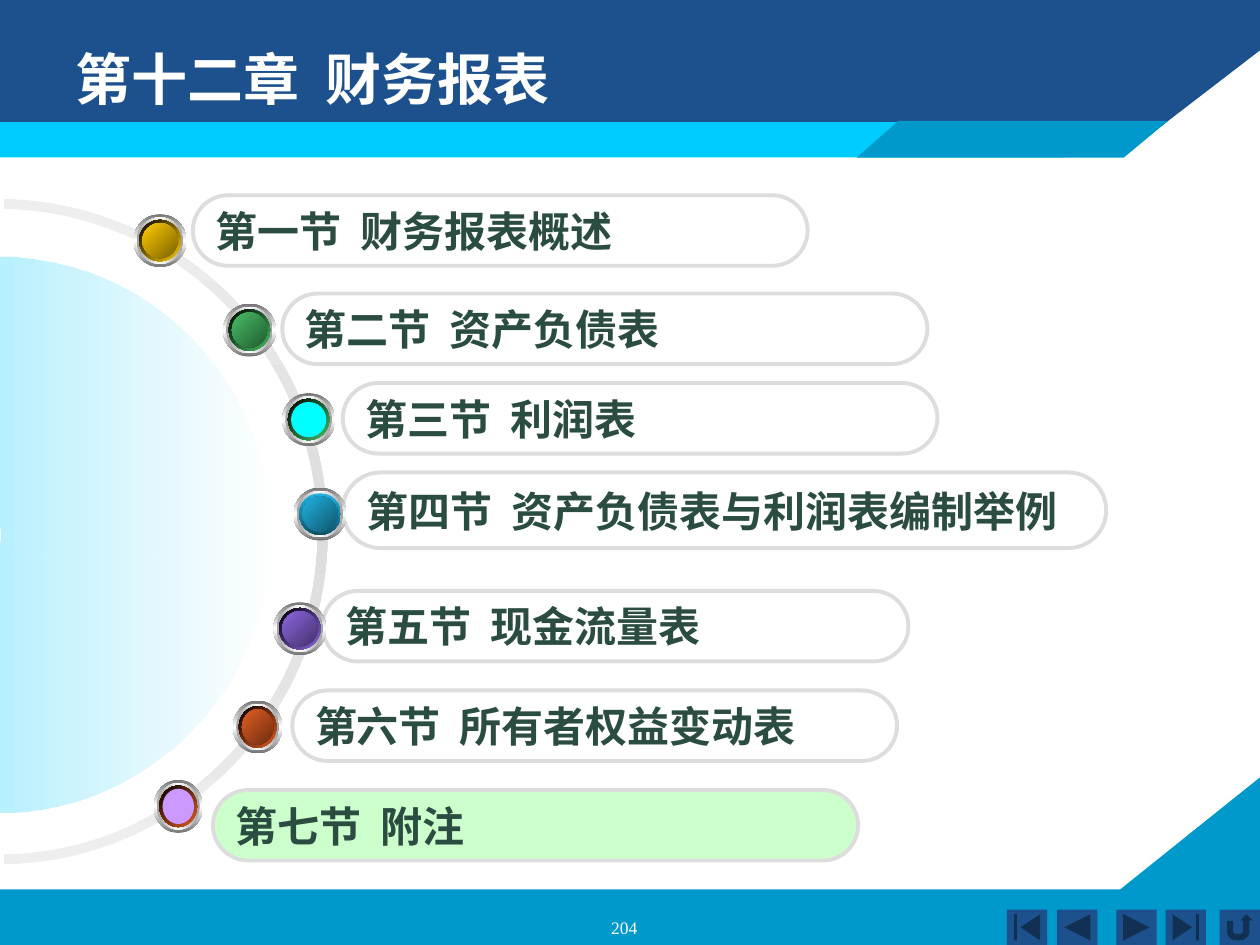
from lxml import etree
from pptx import Presentation
from pptx.dml.color import RGBColor
from pptx.enum.shapes import MSO_SHAPE as Preset
from pptx.enum.text import MSO_ANCHOR as Anchor, PP_ALIGN as Align
from pptx.oxml import parse_xml
from pptx.oxml.ns import nsdecls, qn
from pptx.util import Inches, Pt

COLORS = {
    "navy": "1D518D", "blue": "0099CB", "sky": "00CCFF", "white": "FFFFFF",
    "pearl": "FEFEFE", "ring": "DDDDDD", "ring_end": "EEEEEE", "ink": "2A4C41",
    "mint": "CCFFCC", "steel": "757575", "silver": "A1A1A1", "black": "000000",
    "gold": "FFCC00", "gold_dark": "7B6200", "green": "48BE67", "green_dark": "225C31",
    "cyan": "00FFFF", "teal": "21B3E1", "teal_dark": "0F566C", "teal_rim": "0F5267",
    "violet": "8D67E1", "violet_dark": "44316C", "rust": "E35E23",
    "rust_dark": "6D2D10", "lilac": "CC99FF",
}

# label, pill box (left, top, width, height), pill fill
SECTIONS = [
    ("第一节", "财务报表概述", (1.53, 1.55, 4.88, 0.56), None),
    ("第二节", "资产负债表", (2.24, 2.33, 5.12, 0.56), None),
    ("第三节", "利润表", (2.72, 3.04, 4.72, 0.56), None),
    ("第四节", "资产负债表与利润表编制举例", (2.72, 3.75, 6.06, 0.6), None),
    ("第五节", "现金流量表", (2.56, 4.69, 4.65, 0.56), None),
    ("第六节", "所有者权益变动表", (2.32, 5.48, 4.8, 0.56), None),
    ("第七节", "附注", (1.69, 6.27, 5.12, 0.56), "mint"),
]

# bead box, rim gradient (stops, angle), core colours from dark to light
BEADS = [
    ((1.06, 1.7, 0.42, 0.42), (["gold", "black"], 225), ["gold_dark", "gold"]),
    ((1.77, 2.41, 0.42, 0.42), (["green", "black"], 225), ["green_dark", "green"]),
    ((2.24, 3.12, 0.42, 0.42), (["green", "black"], 225), ["cyan"]),
    ((2.33, 3.87, 0.42, 0.42), (["teal", "teal_rim"], 90), ["teal_dark", "teal"]),
    ((2.17, 4.78, 0.42, 0.42), (["violet", "black"], 225), ["violet_dark", "violet"]),
    ((1.85, 5.56, 0.39, 0.42), (["rust", "black"], 225), ["rust_dark", "rust"]),
    ((1.22, 6.19, 0.39, 0.42), (["rust", "black"], 225), ["lilac"]),
]


def color(name):
    return RGBColor.from_string(COLORS[name])


def paint(shape, fill=None):
    """Flat fill (or none), no outline, no shadow."""
    shape.shadow.inherit = False
    shape.line.fill.background()
    if fill:
        shape.fill.solid()
        shape.fill.fore_color.rgb = color(fill)
    else:
        shape.fill.background()
    return shape


def paint_gradient(shape, names, angle, alphas=None):
    """Linear gradient with evenly spaced stops."""
    paint(shape)
    gradient = parse_xml(f'<a:gradFill {nsdecls("a")} rotWithShape="1"><a:gsLst/>'
                         f'<a:lin ang="{angle * 60000}" scaled="0"/></a:gradFill>')
    for index, name in enumerate(names):
        stop = etree.SubElement(gradient[0], qn("a:gs"),
                                pos=str(index * 100000 // (len(names) - 1)))
        tint = etree.SubElement(stop, qn("a:srgbClr"), val=COLORS[name])
        if alphas:
            etree.SubElement(tint, qn("a:alpha"), val=str(alphas[index] * 1000))
    properties = shape._element.spPr
    properties.replace(properties.find(qn("a:noFill")), gradient)


def add_preset(shapes, preset, box):
    return shapes.add_shape(preset, *map(Inches, box))


def add_polygon(shapes, points, fill):
    corners = [(Inches(x), Inches(y)) for x, y in points]
    builder = shapes.build_freeform(*corners[0], scale=1.0)
    builder.add_line_segments(corners[1:], close=True)
    paint(builder.convert_to_shape(), fill)


def add_span(para, text, size, font, ink, bold=False):
    span = para.add_run()
    span.text = text
    span.font.size, span.font.name, span.font.bold = Pt(size), font, bold
    span.font.color.rgb = color(ink)


def add_heading(para, number, name, stop, **style):
    """Number and name, parted by a tab stop."""
    tabs = etree.SubElement(para._p.get_or_add_pPr(), qn("a:tabLst"))
    etree.SubElement(tabs, qn("a:tab"), pos=str(Inches(stop)), algn="l")
    para.alignment = Align.LEFT
    add_span(para, f"{number}\t{name}", bold=True, **style)


def add_frame(shapes, width, height):
    """Header and footer bands with slanted ends."""
    add_polygon(shapes, [(0, 7.06), (8.89, 7.06), (width, 6.17), (width, height),
                         (0, height)], "blue")
    add_polygon(shapes, [(0, 0), (width, 0), (width, 0.4), (8.92, 1.23), (0, 1.24)], "navy")
    paint(add_preset(shapes, Preset.RECTANGLE, (0, 0.97, 8.44, 0.28)), "sky")
    add_polygon(shapes, [(6.8, 1.25), (8.92, 1.25), (9.27, 0.96), (7.13, 0.96)], "blue")


def add_navigation(shapes, top, height):
    buttons = [(Preset.ACTION_BUTTON_BEGINNING, 7.99),
               (Preset.ACTION_BUTTON_BACK_OR_PREVIOUS, 8.39),
               (Preset.ACTION_BUTTON_FORWARD_OR_NEXT, 8.86),
               (Preset.ACTION_BUTTON_END, 9.25),
               (Preset.ACTION_BUTTON_RETURN, 9.68)]
    for preset, left in buttons:
        paint(add_preset(shapes, preset, (left, top, 0.32, height)), "navy")


def add_dial(shapes):
    """Grey half ring around a fading half disc."""
    ring = add_preset(shapes, Preset.BLOCK_ARC, (-2.65, 1.61, 5.28, 5.22))
    disc = add_preset(shapes, Preset.BLOCK_ARC, (-2.21, 2.09, 4.41, 4.3))
    for arc, adjustments in ((ring, (108.52, 215.48, 0.015)), (disc, (108, 0, 0.497))):
        arc.rotation = 90
        for index, value in enumerate(adjustments):
            arc.adjustments[index] = value
    paint_gradient(ring, ["ring_end", "ring", "ring_end"], 0)
    paint_gradient(disc, ["sky", "pearl"], 270, alphas=[56, 48])


def add_pill(shapes, number, name, box, fill):
    pill = paint(add_preset(shapes, Preset.ROUNDED_RECTANGLE, box), fill)
    pill.adjustments[0] = 0.5
    pill.line.color.rgb = color("ring")
    pill.line.width = Pt(2.25)
    frame = pill.text_frame
    frame.word_wrap = True
    frame.vertical_anchor = Anchor.MIDDLE
    add_heading(frame.paragraphs[0], number, name, 1.15, size=24, font="Arial", ink="ink")


def add_bead(shapes, box, rim, core):
    """Concentric ellipses: two metal rings, a coloured rim and a core."""
    left, top, width, height = box
    layers = [(0, ["steel", "white", "steel"], 90),
              (0.05, ["silver", "white", "silver"], 180),
              (0.09, *rim),
              (0.14, core, 225)]
    group = shapes.add_group_shape()
    for shrink, names, angle in layers:
        ellipse = add_preset(group.shapes, Preset.OVAL,
                             (left + shrink / 2, top + shrink / 2,
                              width - shrink, height - shrink))
        if len(names) == 1:
            paint(ellipse, names[0])
        else:
            paint_gradient(ellipse, names, angle)


def add_title(page, box):
    title = page.shapes.title
    title.left, title.top, title.width, title.height = map(Inches, box)
    title.text_frame.vertical_anchor = Anchor.TOP
    add_heading(title.text_frame.paragraphs[0], "第十二章", "财务报表", 1.98,
                size=32, font="DejaVu Sans", ink="white")
    # Bring the title in front of the header band
    page.shapes._spTree.append(title._element)


def add_page_number(shapes, box):
    frame = shapes.add_textbox(*map(Inches, box)).text_frame
    frame.word_wrap = True
    para = frame.paragraphs[0]
    para.alignment = Align.CENTER
    add_span(para, "204", 10, "Times New Roman", "white")


def main():
    deck = Presentation()
    deck.slide_width, deck.slide_height = Inches(10), Inches(7.5)
    page = deck.slides.add_slide(deck.slide_layouts[5])
    add_frame(page.shapes, 10, 7.5)
    add_navigation(page.shapes, 7.22, 0.28)
    add_dial(page.shapes)
    add_title(page, (0.5, 0.3, 9, 1.25))
    for section in SECTIONS:
        add_pill(page.shapes, *section)
    for bead in BEADS:
        add_bead(page.shapes, *bead)
    add_page_number(page.shapes, (3.79, 7.23, 2.33, 0.18))
    deck.save("out.pptx")


if __name__ == "__main__":
    main()
